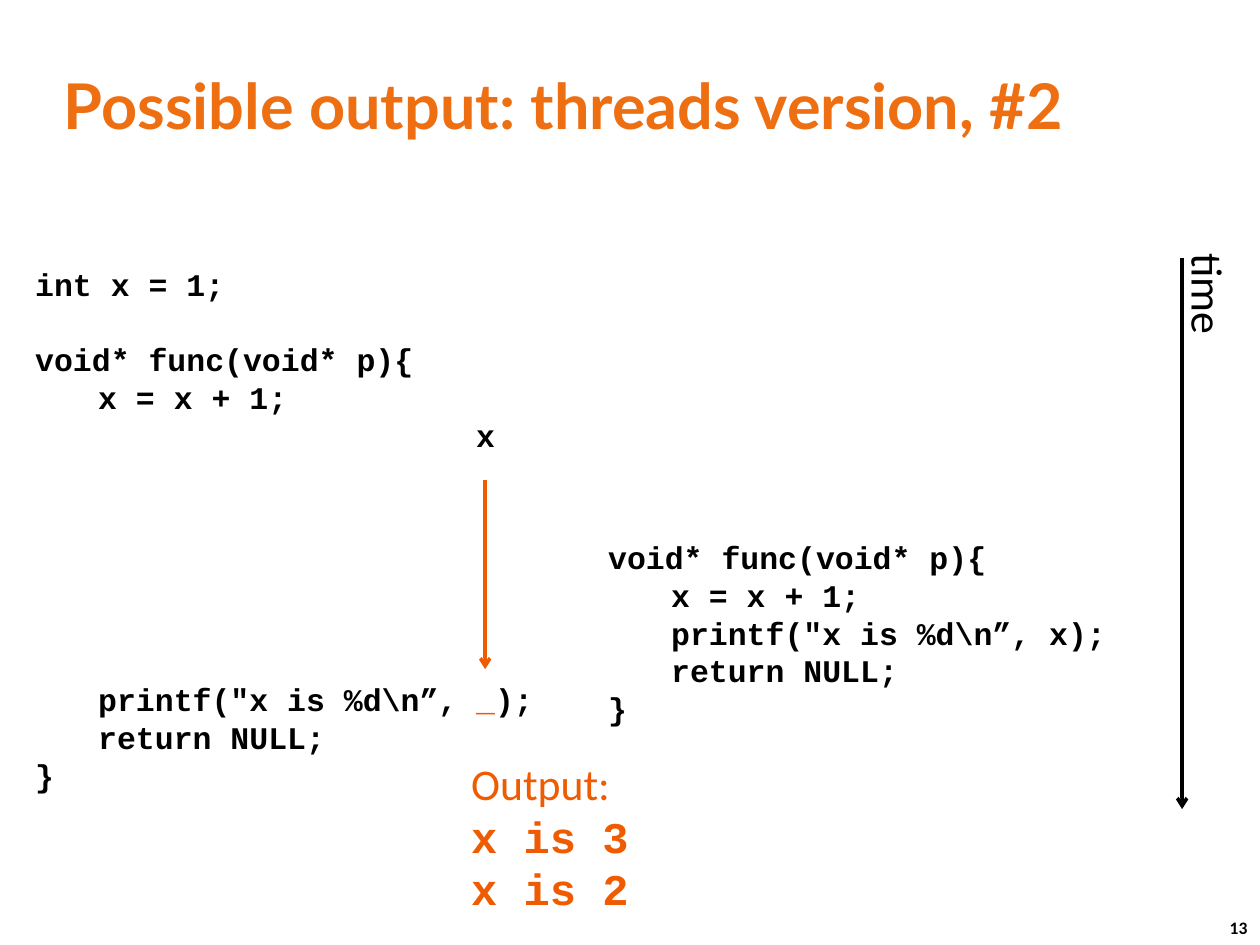
from dataclasses import dataclass

from lxml import etree
from pptx import Presentation
from pptx import util as u
from pptx.dml.color import RGBColor
from pptx.enum import text
from pptx.oxml import ns


@dataclass(frozen=True)
class Theme:
    title: RGBColor = RGBColor(0xEE, 0x6E, 0x12)
    accent: RGBColor = RGBColor(0xEF, 0x5B, 0x00)
    ink: RGBColor = RGBColor(0, 0, 0)
    title_size: u.Pt = u.Pt(36)
    label_size: u.Pt = u.Pt(25)
    code_size: u.Pt = u.Pt(18)
    number_size: u.Pt = u.Pt(10)
    code_leading: float = 21.6
    line_width: u.Pt = u.Pt(2)
    heading_font: str = "Lato"
    body_font: str = "Calibri"
    code_font: str = "Courier New"


THEME = Theme()
STEP = 1.27  # one code indent, in cm
VALUE_COLUMN = 7 * STEP  # where the value of x is printed


@dataclass(frozen=True)
class Line:
    text: str
    indent: float = 0
    skipped: int = 0  # empty code lines above
    accent: str = ""  # part of the text set in the accent colour
    font: str = THEME.code_font
    bold: bool = True


@dataclass(frozen=True)
class Block:
    left: float
    top: float
    width: float
    height: float
    lines: tuple[Line, ...]
    size: u.Pt = THEME.code_size
    color: RGBColor = THEME.ink
    rotation: float = 0
    anchor: text.MSO_ANCHOR = text.MSO_ANCHOR.TOP
    wrap: bool = False


@dataclass(frozen=True)
class Arrow:
    x: float
    top: float
    bottom: float
    color: RGBColor


def write_line(paragraph, line: Line, block: Block) -> None:
    head, accent, tail = line.text.partition(line.accent) if line.accent else (line.text, "", "")
    paragraph.text = head
    for part in filter(None, (accent, tail)):
        paragraph.add_run().text = part
    for run in paragraph.runs:
        run.font.name = line.font
        run.font.size = block.size
        run.font.bold = line.bold
        marked = accent and run.text == accent
        run.font.color.rgb = THEME.accent if marked else block.color
    if line.indent:
        properties = paragraph._p.get_or_add_pPr()
        properties.set("marL", str(u.Cm(line.indent)))
        properties.set("indent", "0")
    if line.skipped:
        paragraph.space_before = u.Pt(line.skipped * THEME.code_leading)


def add_block(slide, block: Block) -> None:
    shape = slide.shapes.add_textbox(
        u.Cm(block.left), u.Cm(block.top), u.Cm(block.width), u.Cm(block.height))
    shape.rotation = block.rotation
    frame = shape.text_frame
    frame.word_wrap = block.wrap
    frame.vertical_anchor = block.anchor
    if not block.wrap:
        frame.auto_size = text.MSO_AUTO_SIZE.SHAPE_TO_FIT_TEXT
    frame.text = "\n".join(line.text for line in block.lines)
    for paragraph, line in zip(frame.paragraphs, block.lines):
        write_line(paragraph, line, block)


def add_arrow(slide, arrow: Arrow) -> None:
    connector = slide.shapes.add_connector(
        1, u.Cm(arrow.x), u.Cm(arrow.top), u.Cm(arrow.x), u.Cm(arrow.bottom))
    connector.line.color.rgb = arrow.color
    connector.line.width = THEME.line_width
    etree.SubElement(connector.line._get_or_add_ln(), ns.qn("a:tailEnd"), type="arrow")
    etree.SubElement(connector._element.spPr, ns.qn("a:effectLst"))


FUNCTION = Line("void* func(void* p){")
INCREMENT = Line("x = x + 1;", STEP)
RETURN = Line("return NULL;", STEP)
END = Line("}")

BLOCKS = (
    Block(24.54, 18.36, 0.94, 0.69, (Line("13", font=THEME.body_font),), THEME.number_size),
    Block(1.04, 1.04, 23.29, 2.11,
          (Line("Possible output: threads version, #2", font=THEME.heading_font),),
          THEME.title_size, THEME.title, anchor=text.MSO_ANCHOR.MIDDLE, wrap=True),
    Block(0.46, 5.21, 10.64, 11.02, (
        Line("int x = 1;"),
        Line(FUNCTION.text, skipped=1),
        INCREMENT,
        Line("x", VALUE_COLUMN),
        Line('printf("x is %d\\n”, _);', STEP, skipped=6, accent="_"),
        RETURN,
        END,
    )),
    Block(12.01, 10.72, 10.64, 4.11, (
        FUNCTION,
        INCREMENT,
        Line('printf("x is %d\\n”, x);', STEP),
        RETURN,
        END,
    )),
    Block(23.29, 5.28, 2.16, 1.32,
          (Line("time", font=THEME.body_font, bold=False),),
          THEME.label_size, rotation=90),
    Block(9.25, 15.14, 3.71, 3.45, (
        Line("Output:", font=THEME.body_font, bold=False),
        Line("x is 3"),
        Line("x is 2"),
    ), THEME.label_size, THEME.accent),
)

ARROWS = (
    Arrow(23.83, 5.21, 16.31, THEME.ink),
    Arrow(9.78, 9.68, 13.49, THEME.accent),
)


def main() -> None:
    presentation = Presentation()
    presentation.slide_width = u.Cm(25.4)
    presentation.slide_height = u.Cm(19.05)
    slide = presentation.slides.add_slide(presentation.slide_layouts[6])
    for block in BLOCKS:
        add_block(slide, block)
    for arrow in ARROWS:
        add_arrow(slide, arrow)
    presentation.save("out.pptx")


if __name__ == "__main__":
    main()
